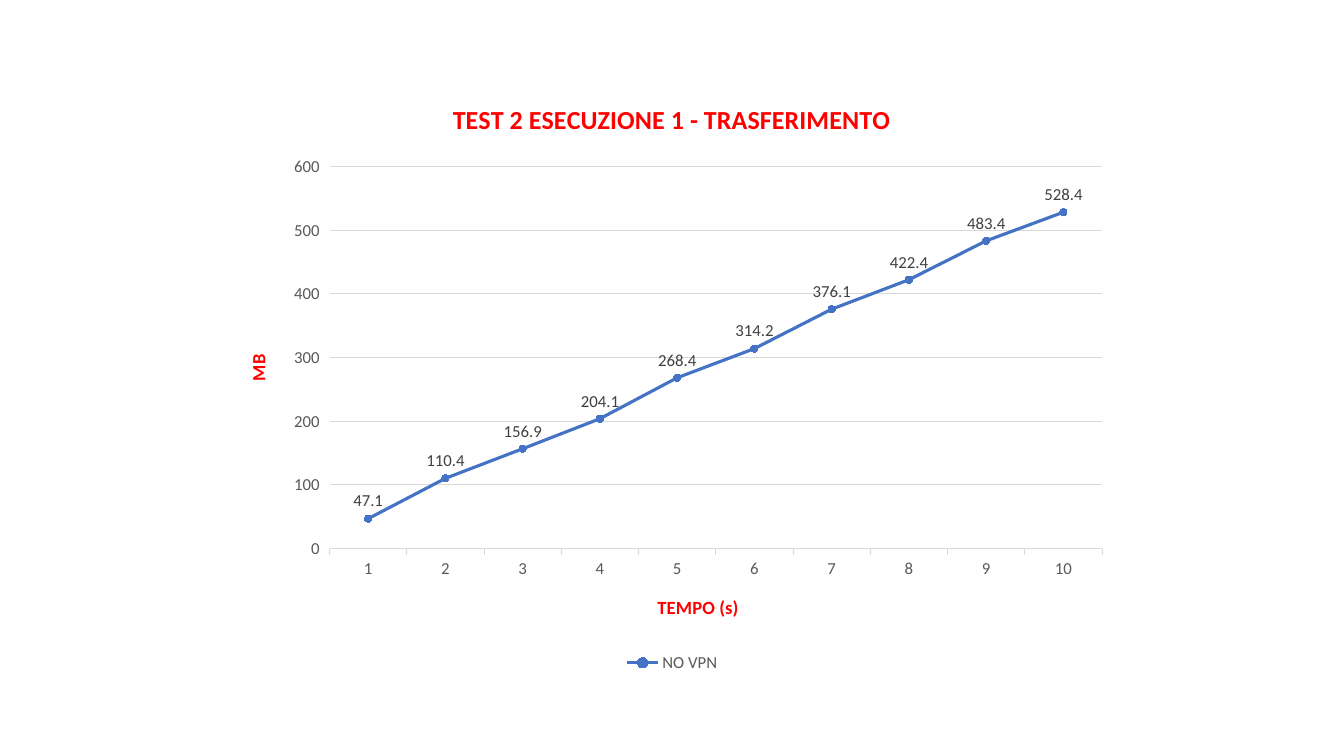
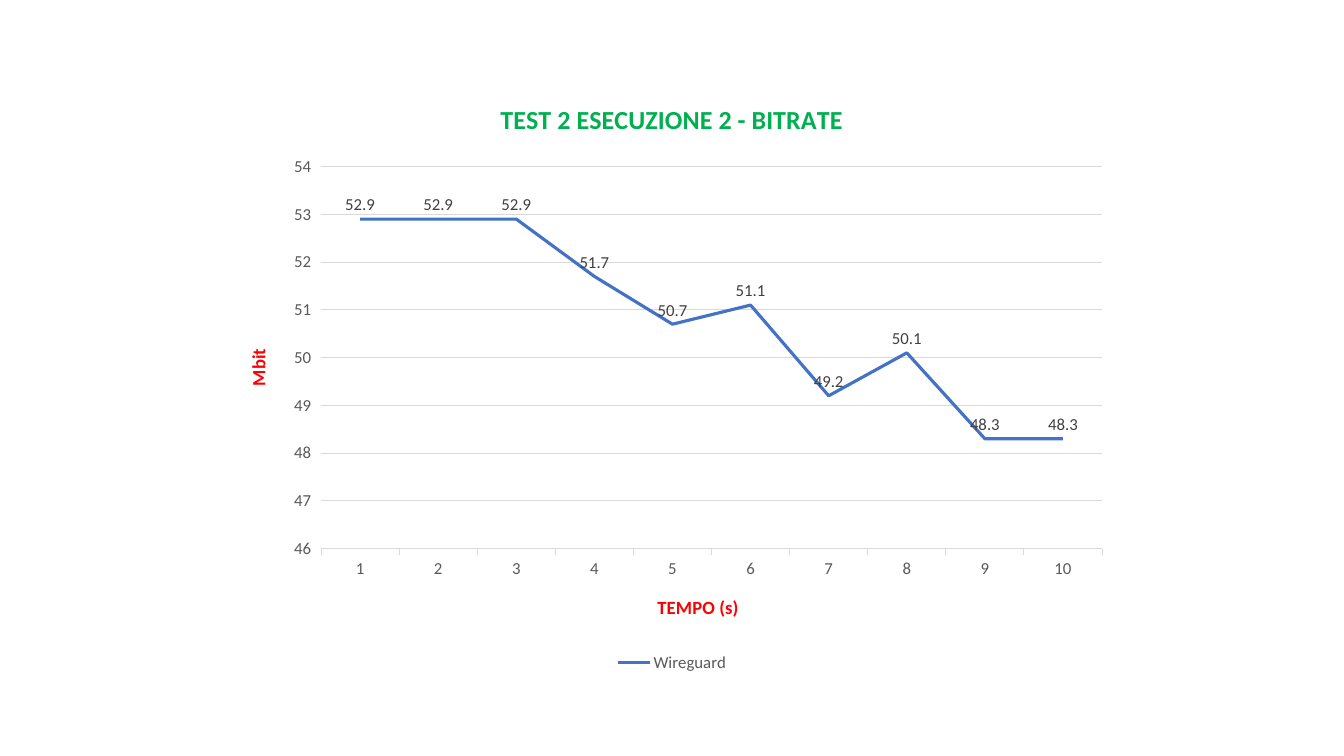
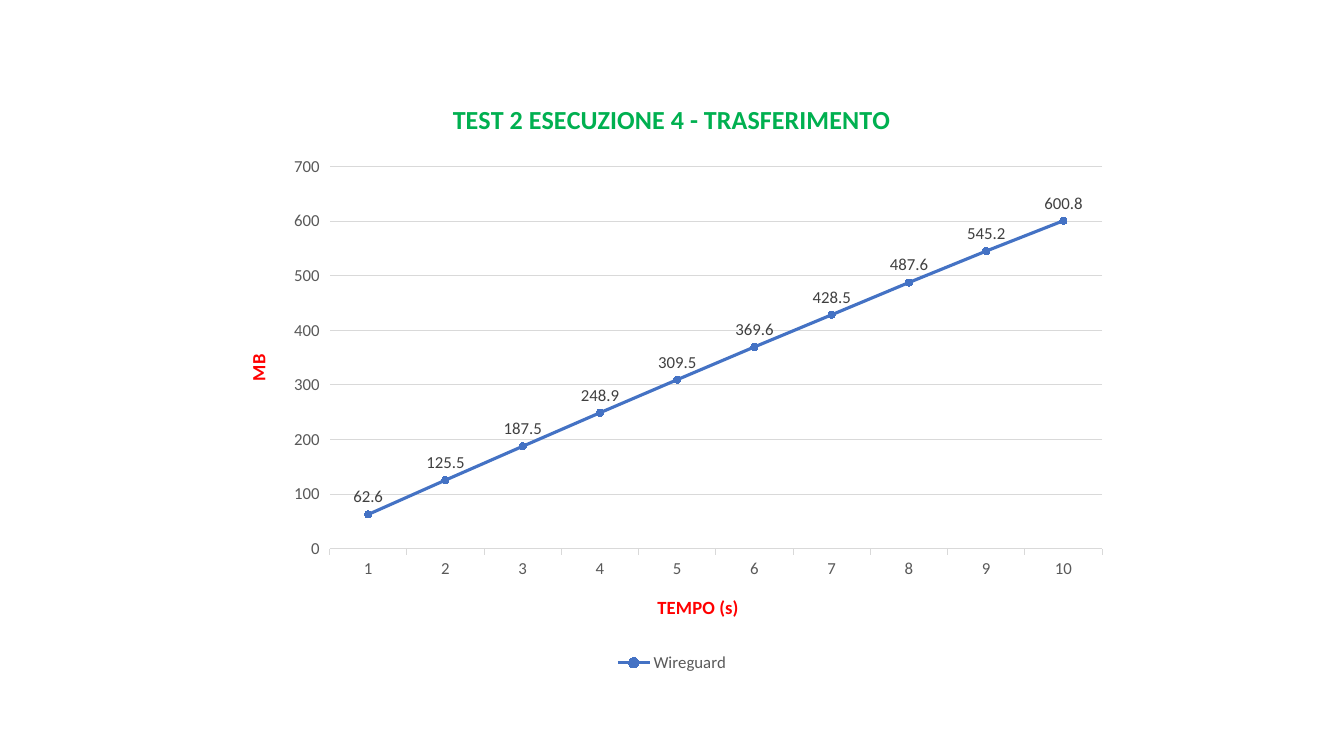
from pptx import Presentation
from pptx.chart.data import CategoryChartData
from pptx.dml.color import RGBColor
from pptx.enum.chart import XL_CHART_TYPE as ChartType
from pptx.enum.chart import XL_LABEL_POSITION as LabelPosition
from pptx.enum.chart import XL_LEGEND_POSITION as LegendPosition
from pptx.enum.chart import XL_MARKER_STYLE as MarkerStyle
from pptx.util import Cm, Pt

# Shared look
FONT = "Calibri"
RED, GREEN, BLUE = "FF0000", "00B050", "4472C4"
GREY, DARK_GREY, LIGHT_GREY = "595959", "404040", "D9D9D9"
SLIDE_SIZE = Cm(33.87), Cm(19.05)
CHART_SIZE = Cm(22.58), Cm(15.06)
SECONDS = [str(second) for second in range(1, 11)]

# One entry per slide; scale holds the fixed ends of the value axis
TESTS = [
    dict(title="TEST 2 ESECUZIONE 1 - TRASFERIMENTO", color=RED, unit="MB",
         name="NO VPN", markers=True, scale=(0, 600),
         values=[47.1, 110.4, 156.9, 204.1, 268.4,
                 314.2, 376.1, 422.4, 483.4, 528.4]),
    dict(title="TEST 2 ESECUZIONE 2 - BITRATE", color=GREEN, unit="Mbit",
         name="Wireguard", markers=False, scale=(None, None),
         values=[52.9, 52.9, 52.9, 51.7, 50.7,
                 51.1, 49.2, 50.1, 48.3, 48.3]),
    dict(title="TEST 2 ESECUZIONE 4 - TRASFERIMENTO", color=GREEN, unit="MB",
         name="Wireguard", markers=True, scale=(0, None),
         values=[62.6, 125.5, 187.5, 248.9, 309.5,
                 369.6, 428.5, 487.6, 545.2, 600.8]),
]


def rgb(color):
    return RGBColor.from_string(color)


def style_font(font, size, color, bold=False):
    font.name = FONT
    font.size = Pt(size)
    font.bold = bold
    font.color.rgb = rgb(color)


def style_line(line, color, width):
    line.color.rgb = rgb(color)
    line.width = Pt(width)


def set_title(owner, text, size, color):
    """Write the bold title of a chart or an axis."""
    frame = owner.text_frame
    frame.text = text
    style_font(frame.paragraphs[0].runs[0].font, size, color, bold=True)


def style_axis(axis, title):
    set_title(axis.axis_title, title, 13.3, RED)
    style_font(axis.tick_labels.font, 12, GREY)


def style_series(series, markers):
    series.smooth = False
    style_line(series.format.line, BLUE, 2.25)
    if markers:
        series.marker.style = MarkerStyle.CIRCLE
        series.marker.size = 5
        series.marker.format.fill.solid()
        series.marker.format.fill.fore_color.rgb = rgb(BLUE)
        style_line(series.marker.format.line, BLUE, 0.75)
    labels = series.data_labels
    labels.show_value = True
    labels.position = LabelPosition.ABOVE
    style_font(labels.font, 12, DARK_GREY)


def add_line_chart(deck, slide, title, color, unit, name, markers, scale, values):
    data = CategoryChartData()
    data.categories = SECONDS
    data.add_series(name, values)
    kind = ChartType.LINE_MARKERS if markers else ChartType.LINE
    width, height = CHART_SIZE
    left = (deck.slide_width - width) // 2
    top = (deck.slide_height - height) // 2
    chart = slide.shapes.add_chart(kind, left, top, width, height, data).chart
    style_font(chart.font, 10, "000000")
    set_title(chart.chart_title, title, 18.6, color)
    chart.chart_title.include_in_layout = False

    # Axes
    time_axis, value_axis = chart.category_axis, chart.value_axis
    style_axis(time_axis, "TEMPO (s)")
    style_line(time_axis.format.line, LIGHT_GREY, 0.75)
    style_axis(value_axis, unit)
    value_axis.format.line.fill.background()
    value_axis.has_major_gridlines = True
    style_line(value_axis.major_gridlines.format.line, LIGHT_GREY, 0.75)
    value_axis.minimum_scale, value_axis.maximum_scale = scale

    # Legend and curve
    chart.has_legend = True
    chart.legend.position = LegendPosition.BOTTOM
    chart.legend.include_in_layout = False
    style_font(chart.legend.font, 12, GREY)
    plot = chart.plots[0]
    plot.vary_by_categories = False
    style_series(plot.series[0], markers)


def main():
    deck = Presentation()
    deck.slide_width, deck.slide_height = SLIDE_SIZE
    blank_layout = deck.slide_layouts[6]
    for test in TESTS:
        add_line_chart(deck, deck.slides.add_slide(blank_layout), **test)
    deck.save("out.pptx")


if __name__ == "__main__":
    main()
